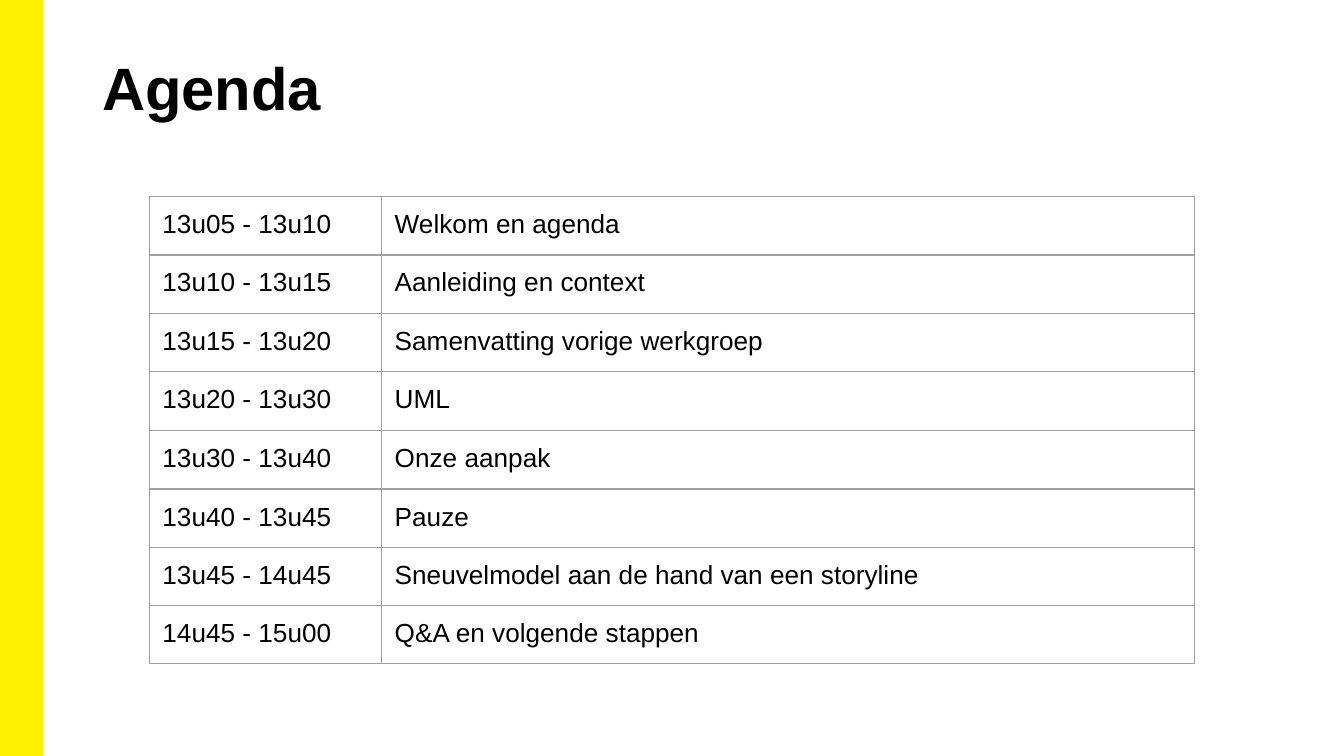
import pptx
import pptx.dml.color
import pptx.enum.shapes
import pptx.enum.text
import pptx.oxml
import pptx.oxml.ns
import pptx.util
from pptx.util import Cm

YELLOW = pptx.dml.color.RGBColor(0xFF, 0xF2, 0x00)
BLACK = pptx.dml.color.RGBColor(0x00, 0x00, 0x00)
GREY = pptx.dml.color.RGBColor(0x9E, 0x9E, 0x9E)
FONT = "Arial"

AGENDA = [
    ("13u05 - 13u10", "Welkom en agenda"),
    ("13u10 - 13u15", "Aanleiding en context"),
    ("13u15 - 13u20", "Samenvatting vorige werkgroep"),
    ("13u20 - 13u30", "UML"),
    ("13u30 - 13u40", "Onze aanpak"),
    ("13u40 - 13u45", "Pauze"),
    ("13u45 - 14u45", "Sneuvelmodel aan de hand van een storyline"),
    ("14u45 - 15u00", "Q&A en volgende stappen"),
]
ROW_HEIGHTS = [1.11, 1.11, 1.05, 1.11, 1.11, 1.11, 1.05, 1.05]
TIME_WIDTH = 4.39


def format_text(text_frame, size, bold=False):
    for paragraph in text_frame.paragraphs:
        for run in paragraph.runs:
            run.font.name = FONT
            run.font.size = pptx.util.Pt(size)
            run.font.bold = bold
            run.font.color.rgb = BLACK


def add_side_bar(slide, left, top, width, height):
    bar = slide.shapes.add_shape(
        pptx.enum.shapes.MSO_SHAPE.RECTANGLE,
        Cm(left), Cm(top), Cm(width), Cm(height))
    bar.shadow.inherit = False
    bar.fill.solid()
    bar.fill.fore_color.rgb = YELLOW
    bar.line.color.rgb = YELLOW
    bar.line.width = pptx.util.Pt(1)


def add_title(slide, text, left, top, width, height):
    title = slide.shapes.add_textbox(Cm(left), Cm(top), Cm(width), Cm(height))
    text_frame = title.text_frame
    text_frame.word_wrap = True
    text_frame.margin_left = text_frame.margin_right = Cm(0.18)
    text_frame.margin_top = Cm(0.2)
    text_frame.margin_bottom = Cm(0.1)
    text_frame.vertical_anchor = pptx.enum.text.MSO_ANCHOR.TOP
    text_frame.text = text
    format_text(text_frame, 32, bold=True)


def set_borders(cell):
    properties = cell._tc.get_or_add_tcPr()
    # Borders come before the fill in the cell properties
    for position, side in enumerate(("lnL", "lnR", "lnT", "lnB")):
        border = pptx.oxml.parse_xml(
            f'<a:{side} {pptx.oxml.ns.nsdecls("a")} w="{pptx.util.Pt(0.75)}">'
            f'<a:solidFill><a:srgbClr val="{GREY}"/></a:solidFill></a:{side}>')
        properties.insert(position, border)


def add_agenda_table(slide, left, top, width):
    table = slide.shapes.add_table(
        len(AGENDA), 2, Cm(left), Cm(top), Cm(width), Cm(sum(ROW_HEIGHTS))).table
    table.first_row = False
    table.horz_banding = False
    table.columns[0].width = Cm(TIME_WIDTH)
    table.columns[1].width = Cm(width - TIME_WIDTH)
    for row, height, texts in zip(table.rows, ROW_HEIGHTS, AGENDA):
        row.height = Cm(height)
        for cell, text in zip(row.cells, texts):
            cell.fill.background()
            cell.margin_left = cell.margin_right = Cm(0.25)
            cell.margin_top = cell.margin_bottom = Cm(0.25)
            cell.text_frame.text = text
            format_text(cell.text_frame, 14)
            set_borders(cell)


def main():
    presentation = pptx.Presentation()
    presentation.slide_width = Cm(25.4)
    presentation.slide_height = Cm(14.29)
    slide = presentation.slides.add_slide(presentation.slide_layouts[6])

    # Yellow bar along the left edge
    add_side_bar(slide, 0, 0, 0.79, 14.29)
    # Title
    add_title(slide, "Agenda", 1.75, 0.76, 21.9, 2.06)
    # Times and topics
    add_agenda_table(slide, 2.82, 3.71, 19.76)

    presentation.save("out.pptx")


if __name__ == "__main__":
    main()
